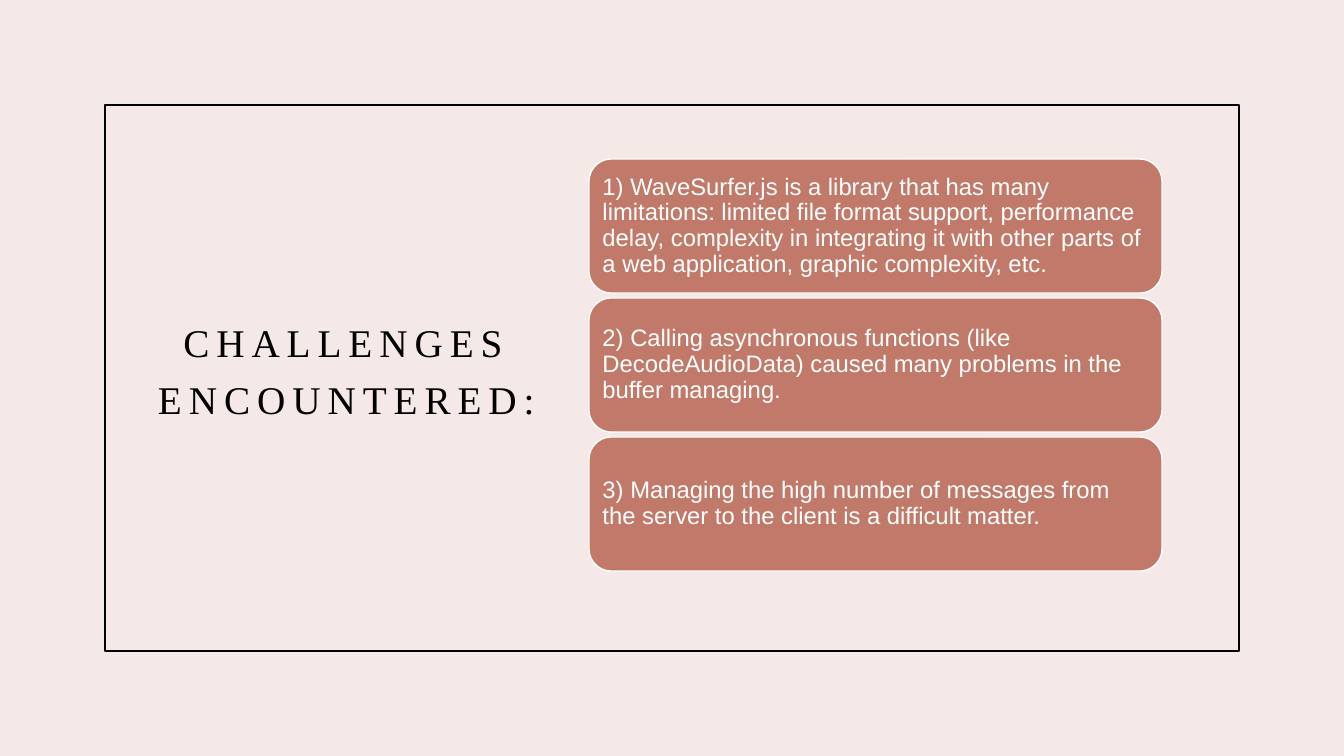
"""Build the slide on the challenges encountered."""
from dataclasses import dataclass

from pptx import Presentation
from pptx.dml.color import RGBColor
from pptx.enum.shapes import MSO_SHAPE
from pptx.enum.text import MSO_ANCHOR, PP_ALIGN
from pptx.util import Emu, Pt

RECT = MSO_SHAPE.RECTANGLE
ROUNDED = MSO_SHAPE.ROUNDED_RECTANGLE
MIDDLE = MSO_ANCHOR.MIDDLE
LEFT = PP_ALIGN.LEFT
CENTER = PP_ALIGN.CENTER

BACKGROUND = RGBColor(0xF4, 0xE9, 0xE6)
TERRACOTTA = RGBColor(0xC1, 0x7A, 0x69)
BLACK = RGBColor(0x00, 0x00, 0x00)
WHITE = RGBColor(0xFF, 0xFF, 0xFF)

SLIDE_W, SLIDE_H = 1344, 756
EMU_PER_PX = 12192000 / SLIDE_W
CARD_TOP, CARD_PITCH = 159, 139
CARD_INSET = 7

CHALLENGES = (
    "1) WaveSurfer.js is a library that has many limitations: limited file format support, "
    "performance delay, complexity in integrating it with other parts of a web application, "
    "graphic complexity, etc.",
    "2) Calling asynchronous functions (like DecodeAudioData) caused many problems in the "
    "buffer managing.",
    "3) Managing the high number of messages from the server to the client is a difficult matter.",
)


@dataclass(frozen=True)
class Box:
    """Position and size in px."""
    left: int
    top: int
    width: int
    height: int

    def emu(self) -> tuple[Emu, Emu, Emu, Emu]:
        """Return the four lengths in EMU."""
        return px(self.left), px(self.top), px(self.width), px(self.height)


@dataclass(frozen=True)
class TextStyle:
    """Look of a one-paragraph text."""
    font: str
    size: int
    color: RGBColor
    align: PP_ALIGN
    line_spacing: float
    tracking: int = 0


TITLE_STYLE = TextStyle("Times New Roman", 28, BLACK, CENTER, 1.2, 500)
CARD_STYLE = TextStyle("Arial", 17, WHITE, LEFT, 0.9)


def px(n: int) -> Emu:
    """Convert px to EMU."""
    return Emu(round(n * EMU_PER_PX))


def add_panel(slide, kind: MSO_SHAPE, box: Box, line: RGBColor, fill: RGBColor | None = None):
    """Draw an outlined shape, filled if a colour is given."""
    sp = slide.shapes.add_shape(kind, *box.emu())
    sp.shadow.inherit = False
    if fill is None:
        sp.fill.background()
    else:
        sp.fill.solid()
        sp.fill.fore_color.rgb = fill
    sp.line.color.rgb = line
    sp.line.width = Pt(1)
    return sp


def write(tf, text: str, style: TextStyle) -> None:
    """Write one vertically centred paragraph."""
    tf.word_wrap = True
    tf.vertical_anchor = MIDDLE
    p = tf.paragraphs[0]
    p.alignment = style.align
    p.line_spacing = style.line_spacing
    r = p.add_run()
    r.text = text
    r.font.name = style.font
    r.font.size = Pt(style.size)
    r.font.color.rgb = style.color
    if style.tracking:
        r.font._element.set("spc", str(style.tracking))


def add_card(slide, box: Box, text: str) -> None:
    """Draw a rounded card with its text."""
    tf = add_panel(slide, ROUNDED, box, WHITE, TERRACOTTA).text_frame
    tf.margin_left = tf.margin_right = px(CARD_INSET)
    tf.margin_top = tf.margin_bottom = px(CARD_INSET)
    write(tf, text, CARD_STYLE)


def main() -> None:
    """Build and save the slide."""
    prs = Presentation()
    prs.slide_width, prs.slide_height = px(SLIDE_W), px(SLIDE_H)
    s = prs.slides.add_slide(prs.slide_layouts[6])
    s.background.fill.solid()
    s.background.fill.fore_color.rgb = BACKGROUND

    add_panel(s, RECT, Box(105, 105, 1134, 546), BLACK)
    title = s.shapes.add_textbox(*Box(137, 240, 419, 251).emu())
    write(title.text_frame, "CHALLENGES ENCOUNTERED:", TITLE_STYLE)
    for i, text in enumerate(CHALLENGES):
        add_card(s, Box(589, CARD_TOP + i * CARD_PITCH, 573, 134), text)

    prs.save("out.pptx")


if __name__ == "__main__":
    main()
